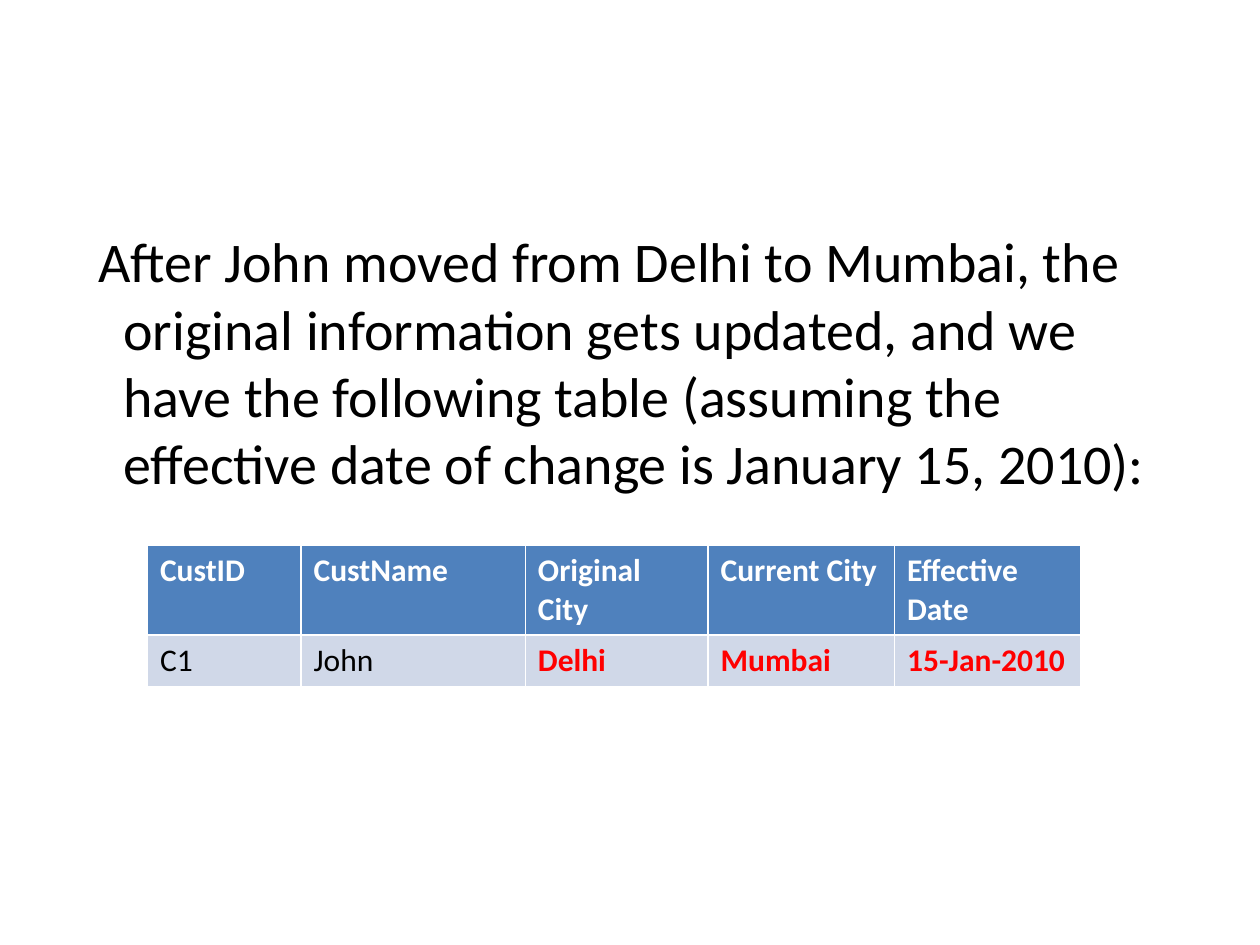
from pptx import Presentation, util as u
from pptx.dml.color import RGBColor
from pptx.oxml.ns import qn
from lxml import etree

INTRO = ("After John moved from Delhi to Mumbai, the original information gets "
         "updated, and we have the following table (assuming the effective date "
         "of change is January 15, 2010):")
HEADS = ["CustID", "CustName", "Original City", "Current City", "Effective Date"]
RECORD = ["C1", "John", "Delhi", "Mumbai", "15-Jan-2010"]
CHANGED = 2  # first column touched by the move
WIDTHS = [1.22, 1.78, 1.45, 1.48, 1.48]
HEIGHTS = [0.7, 0.41]


def write(par, words, size, color, bold=False):
    run = par.add_run()
    run.text = words
    font = run.font
    font.name, font.size, font.bold = "Calibri", u.Pt(size), bold
    font.color.rgb = RGBColor.from_string(color)


def add_intro(slide):
    body = slide.placeholders[1]
    body.left, body.top = u.Inches(0.5), u.Inches(1.75)
    body.width, body.height = u.Inches(9), u.Inches(4.95)
    par = body.text_frame.paragraphs[0]
    props = par._p.get_or_add_pPr()
    props.set("marL", str(u.Inches(0.38)))
    props.set("indent", str(u.Inches(-0.2)))
    etree.SubElement(props, qn("a:buNone"))
    par.space_before = u.Pt(0)
    write(par, INTRO, 32, "000000")


def add_records(slide):
    table = slide.shapes.add_table(
        2, len(HEADS), u.Inches(1.17), u.Inches(4.33),
        u.Inches(sum(WIDTHS)), u.Inches(sum(HEIGHTS))).table
    for col, width in zip(table.columns, WIDTHS):
        col.width = u.Inches(width)
    for row, height in zip(table.rows, HEIGHTS):
        row.height = u.Inches(height)
    for r, row in enumerate([HEADS, RECORD]):
        for c, words in enumerate(row):
            cell = table.cell(r, c)
            cell.fill.solid()
            cell.fill.fore_color.rgb = RGBColor.from_string(["4F81BD", "D0D8E8"][r])
            moved = c >= CHANGED
            color = "FFFFFF" if r == 0 else "FF0000" if moved else "000000"
            write(cell.text_frame.paragraphs[0], words, 18, color, r == 0 or moved)


def main():
    deck = Presentation()
    deck.slide_width, deck.slide_height = u.Inches(10), u.Inches(7.5)
    slide = deck.slides.add_slide(deck.slide_layouts[1])
    title = slide.shapes.title._element
    title.getparent().remove(title)
    add_intro(slide)
    add_records(slide)
    deck.save("out.pptx")


if __name__ == "__main__":
    main()
